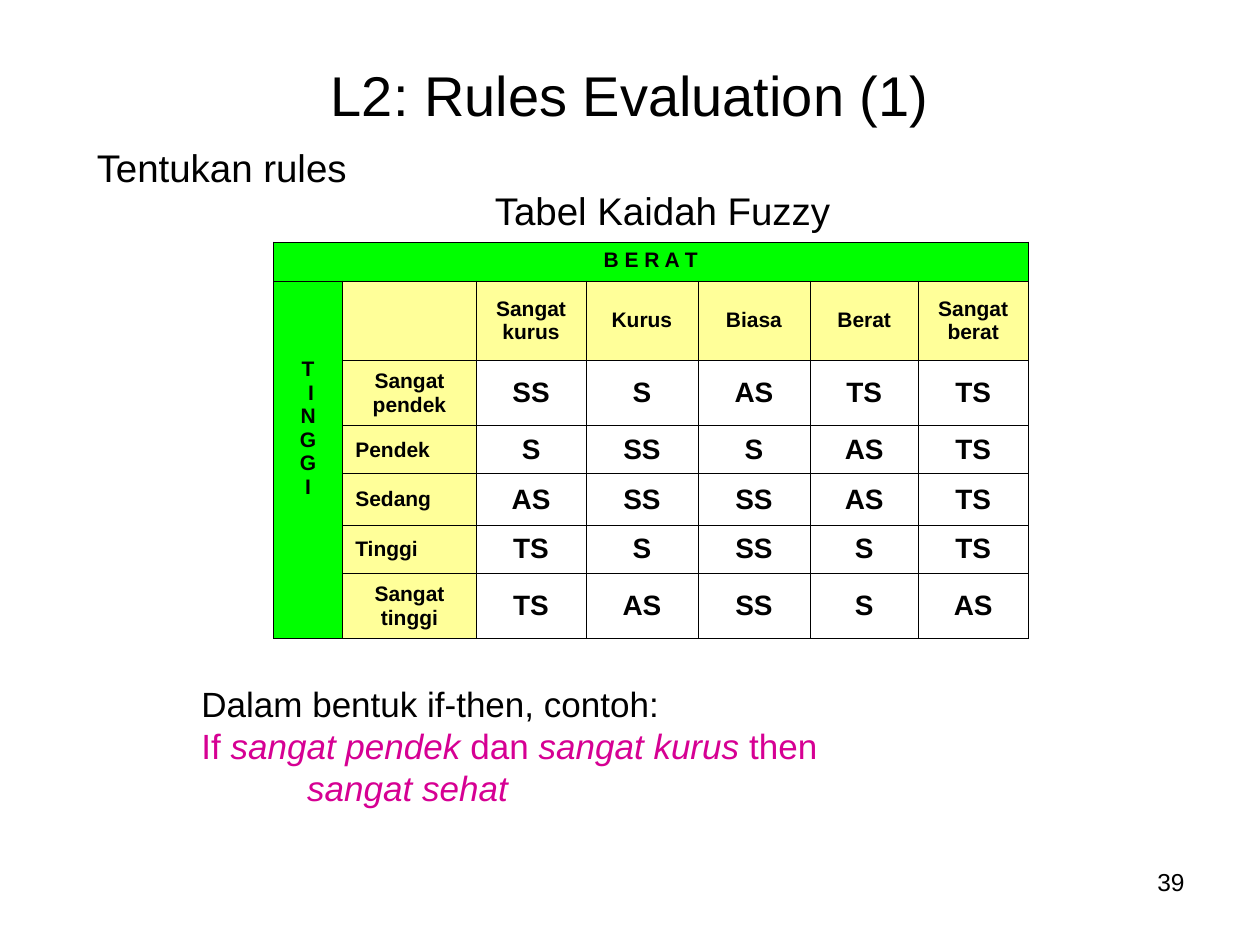
from dataclasses import dataclass

from lxml.etree import SubElement
from pptx import Presentation
from pptx.dml.color import RGBColor
from pptx.enum.text import MSO_ANCHOR, PP_ALIGN
from pptx.oxml import parse_xml
from pptx.oxml.ns import nsdecls
from pptx.util import Inches, Pt


@dataclass(frozen=True)
class Theme:
    font: str = "Arial"
    black: str = "000000"
    white: str = "FFFFFF"
    green: str = "00FF00"
    yellow: str = "FFFF99"
    magenta: str = "D60093"
    title: int = 32
    heading: int = 22
    body: int = 20
    value: int = 16
    number: int = 14
    label: int = 12
    border: float = 0.45


THEME = Theme()
COLUMN_WIDTHS = [0.55, 1.06, 0.87, 0.89, 0.89, 0.86, 0.87]
ROW_HEIGHTS = [0.31, 0.63, 0.52, 0.38, 0.41, 0.38, 0.52]
WEIGHTS = ["Sangat kurus", "Kurus", "Biasa", "Berat", "Sangat berat"]
RULES = {
    "Sangat pendek": "SS S AS TS TS",
    "Pendek": "S SS S AS TS",
    "Sedang": "AS SS SS AS TS",
    "Tinggi": "TS S SS S TS",
    "Sangat tinggi": "TS AS SS S AS",
}


def apply_format(target, values):
    for name, value in values.items():
        setattr(target, name, value)


def add_run(paragraph, text, size, color=THEME.black, **style):
    run = paragraph.add_run()
    run.text = text
    apply_format(run.font, {"name": THEME.font, "size": Pt(size), **style})
    run.font.color.rgb = RGBColor.from_string(color)


def format_frame(frame, anchor):
    apply_format(frame, {
        "word_wrap": True, "vertical_anchor": anchor,
        "margin_left": Inches(0.1), "margin_right": Inches(0.1),
        "margin_top": Inches(0.05), "margin_bottom": Inches(0.05),
    })


def add_text_box(slide, left, top, width, height, anchor=MSO_ANCHOR.MIDDLE):
    shape = slide.shapes.add_textbox(
        Inches(left), Inches(top), Inches(width), Inches(height))
    format_frame(shape.text_frame, anchor)
    return shape.text_frame


def add_label(slide, text, size, *place, align=PP_ALIGN.LEFT, anchor=MSO_ANCHOR.MIDDLE):
    paragraph = add_text_box(slide, *place, anchor=anchor).paragraphs[0]
    paragraph.alignment = align
    add_run(paragraph, text, size)


def set_title(slide, text):
    title = slide.shapes.title
    apply_format(title, {
        "left": Inches(0.5), "top": Inches(0.5),
        "width": Inches(9), "height": Inches(0.5),
    })
    format_frame(title.text_frame, MSO_ANCHOR.MIDDLE)
    paragraph = title.text_frame.paragraphs[0]
    paragraph.alignment = PP_ALIGN.CENTER
    add_run(paragraph, text, THEME.title)


def set_borders(cell):
    properties = cell._tc.get_or_add_tcPr()
    for position, side in enumerate(("lnL", "lnR", "lnT", "lnB")):
        line = parse_xml(f'<a:{side} {nsdecls("a")} w="{Pt(THEME.border)}">'
                         f'<a:solidFill><a:srgbClr val="{THEME.black}"/></a:solidFill>'
                         f'</a:{side}>')
        properties.insert(position, line)


def fill_cell(cell, lines, size=THEME.label, align=PP_ALIGN.CENTER, anchor=MSO_ANCHOR.MIDDLE):
    cell.vertical_anchor = anchor
    frame = cell.text_frame
    for index, line in enumerate(lines):
        paragraph = frame.add_paragraph() if index else frame.paragraphs[0]
        paragraph.alignment = align
        add_run(paragraph, line, size, bold=True)


def cell_color(row, column):
    if row == 0 or column == 0:
        return THEME.green
    return THEME.yellow if row == 1 or column == 1 else THEME.white


def add_rule_table(slide):
    table = slide.shapes.add_table(
        len(ROW_HEIGHTS), len(COLUMN_WIDTHS), Inches(2.17), Inches(1.92),
        Inches(sum(COLUMN_WIDTHS)), Inches(sum(ROW_HEIGHTS))).table
    apply_format(table, {"first_row": False, "horz_banding": False})
    for column, width in zip(table.columns, COLUMN_WIDTHS):
        column.width = Inches(width)
    for row_index, (row, height) in enumerate(zip(table.rows, ROW_HEIGHTS)):
        row.height = Inches(height)
        for column_index, cell in enumerate(row.cells):
            cell.fill.solid()
            cell.fill.fore_color.rgb = RGBColor.from_string(cell_color(row_index, column_index))
            set_borders(cell)

    table.cell(0, 0).merge(table.cell(0, len(COLUMN_WIDTHS) - 1))
    fill_cell(table.cell(0, 0), ["B E R A T"], anchor=MSO_ANCHOR.TOP)
    height_cell = table.cell(1, 0)
    height_cell.merge(table.cell(len(ROW_HEIGHTS) - 1, 0))
    height_cell.margin_top = Inches(0.61)
    fill_cell(height_cell, ["T", " I", "N", "G", "G", "I"], anchor=MSO_ANCHOR.TOP)

    for column, weight in enumerate(WEIGHTS, 2):
        fill_cell(table.cell(1, column), [weight])
    for row, (label, results) in enumerate(RULES.items(), 2):
        align = PP_ALIGN.CENTER if " " in label else PP_ALIGN.LEFT
        fill_cell(table.cell(row, 1), [label], align=align)
        for column, result in enumerate(results.split(), 2):
            fill_cell(table.cell(row, column), [result], THEME.value)


def add_example(slide):
    frame = add_text_box(slide, 1.5, 5.25, 7, 1.33)
    add_run(frame.paragraphs[0], "Dalam bentuk if-then, contoh:", THEME.body)
    condition = frame.add_paragraph()
    for index, text in enumerate(["If ", "sangat pendek", " dan ", "sangat kurus", " then"]):
        add_run(condition, text, THEME.body, THEME.magenta, italic=index % 2 == 1)
    result = frame.add_paragraph()
    result._p.get_or_add_pPr().set("marL", str(Inches(0.84)))
    add_run(result, "sangat sehat", THEME.body, THEME.magenta, italic=True)


def main():
    presentation = Presentation()
    apply_format(presentation, {"slide_width": Inches(10), "slide_height": Inches(7.5)})
    slide = presentation.slides.add_slide(presentation.slide_layouts.get_by_name("Title Only"))
    set_title(slide, "L2: Rules Evaluation (1)")
    add_label(slide, "39", THEME.number, 7.17, 6.83, 2.33, 0.52,
              align=PP_ALIGN.RIGHT, anchor=MSO_ANCHOR.TOP)
    add_label(slide, "Tentukan rules", THEME.heading, 0.67, 1.08, 8.67, 0.5)
    add_rule_table(slide)
    add_label(slide, "Tabel Kaidah Fuzzy", THEME.heading, 3.83, 1.5, 3, 0.33)
    add_example(slide)
    presentation.save("out.pptx")


if __name__ == "__main__":
    main()
